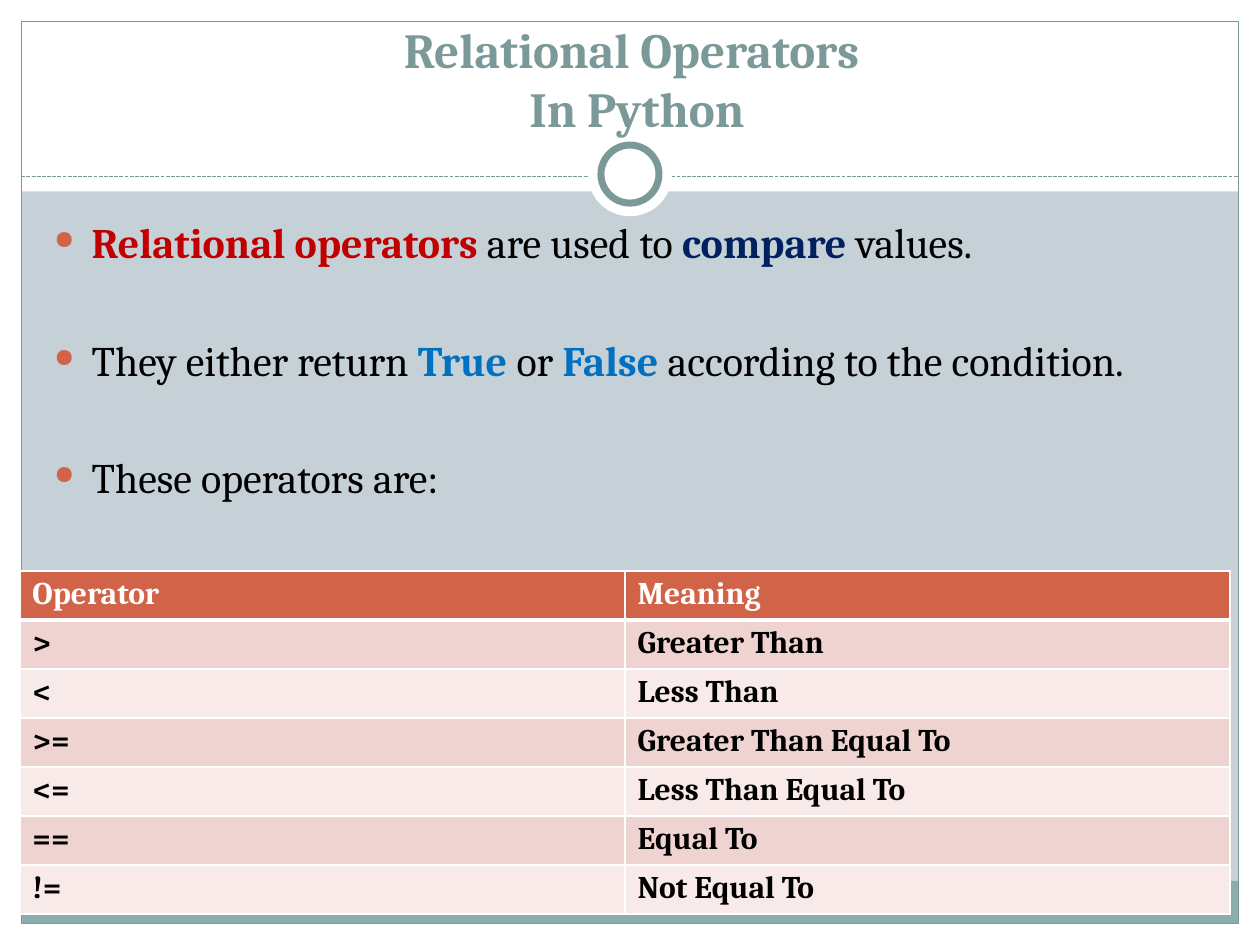
from lxml import etree
from pptx import Presentation
from pptx.dml.color import RGBColor
from pptx.enum.dml import MSO_LINE
from pptx.enum.shapes import MSO_CONNECTOR, MSO_SHAPE
from pptx.enum.text import MSO_ANCHOR, PP_ALIGN
from pptx.oxml.ns import qn
from pptx.util import Cm, Pt

RECT, OVAL = MSO_SHAPE.RECTANGLE, MSO_SHAPE.OVAL
LINE, DASH = MSO_CONNECTOR.STRAIGHT, MSO_LINE.SQUARE_DOT
CENTER, BOTTOM, TOP = PP_ALIGN.CENTER, MSO_ANCHOR.BOTTOM, MSO_ANCHOR.TOP
WHITE, BLACK, TEAL, RUST = "FFFFFF", "000000", "7C999A", "D16349"
RED, NAVY, BLUE = "C00000", "002060", "0070C0"
WIDE, HIGH, EDGE = 25.4, 19.05, 0.43


def color(code):
    return RGBColor.from_string(code)


def node(parent, tag, **attrs):
    return etree.SubElement(parent, qn(tag), attrs)


def paint(item, code):
    item.fill.solid()
    item.fill.fore_color.rgb = color(code)


def shape(slide, kind, box, fill=None, line=None, width=0.75):
    part = slide.shapes.add_shape(kind, *map(Cm, box))
    part.shadow.inherit = False
    if fill:
        paint(part, fill)
    else:
        part.fill.background()
    if line:
        part.line.color.rgb = color(line)
        part.line.width = Pt(width)
    else:
        part.line.fill.background()


def write(para, text, code, size, bold=True):
    run = para.add_run()
    run.text = text
    look = {"name": "Cambria", "size": Pt(size), "bold": bold}
    for key, value in look.items():
        setattr(run.font, key, value)
    run.font.color.rgb = color(code)


def frame(slide, box, anchor):
    text = slide.shapes.add_textbox(*map(Cm, box)).text_frame
    text.word_wrap = True
    text.vertical_anchor = anchor
    return text


def border(slide, box):
    x, y, w, h = box
    # White margins and the bottom band
    for part in ((x, y + h - EDGE, w, EDGE), (x, y, w, 3.86),
                 (x, y, EDGE, h), (x + w - EDGE, y, EDGE, h)):
        shape(slide, RECT, part, WHITE)
    inner = w - 2 * EDGE
    shape(slide, RECT, (x + EDGE, y + h - EDGE - 0.86, inner, 0.86), "8CADAE")
    shape(slide, RECT, (x + EDGE, y + EDGE, inner, h - 2 * EDGE), line=TEAL)
    # Dashed rule
    rule = slide.shapes.add_connector(
        LINE, Cm(x + EDGE), Cm(y + 3.56), Cm(x + w - EDGE), Cm(y + 3.56))
    rule.line.color.rgb = color(TEAL)
    rule.line.width = Pt(0.75)
    rule.line.dash_style = DASH
    node(rule._element.spPr, "a:effectLst")
    # Ring on the rule
    for size, line in ((1.7, None), (1.17, TEAL)):
        spot = (x + (w - size) / 2, y + 3.51 - size / 2, size, size)
        shape(slide, OVAL, spot, WHITE, line, 4)


def title(slide, box):
    para = frame(slide, box, BOTTOM).paragraphs[0]
    para.alignment = CENTER
    write(para, "Relational Operators ", TEAL, 28)
    para.add_line_break()
    write(para, "In Python", TEAL, 28)


def points(slide, box, items):
    text = frame(slide, box, TOP)
    for i, item in enumerate(items):
        para = text.add_paragraph() if i else text.paragraphs[0]
        para.space_before = Pt(38.4 if i else 0)
        props = para._p.get_or_add_pPr()
        props.set("marL", str(Cm(0.76)))
        props.set("indent", str(Cm(-0.76)))
        node(node(props, "a:buClr"), "a:srgbClr", val=RUST)
        node(props, "a:buSzPct", val="61000")
        node(props, "a:buChar", char="●")
        for words, code in item:
            write(para, words, code, 24, code != BLACK)


def edge(cell, sides):
    props = cell._tc.get_or_add_tcPr()
    for i, (side, width) in enumerate(sides.items()):
        line = etree.Element(qn("a:ln" + side), {"w": str(Pt(width))})
        node(node(line, "a:solidFill"), "a:srgbClr", val=WHITE)
        props.insert(i, line)


def grid(slide, box, rows):
    table = slide.shapes.add_table(
        len(rows), len(rows[0]), *map(Cm, box)).table
    for r, row in enumerate(rows):
        table.rows[r].height = Cm(box[3] / len(rows))
        for c, words in enumerate(row):
            cell = table.cell(r, c)
            cell.margin_top = cell.margin_bottom = Cm(0.1)
            paint(cell, ("F7EAE9", "EED3D0")[r % 2] if r else RUST)
            edge(cell, {"L": 1, "R": 1, "T": 3 if r == 1 else 1,
                        "B": 1 if r else 3})
            write(cell.text_frame.paragraphs[0], words,
                  BLACK if r else WHITE, 18)


deck = Presentation()
deck.slide_width, deck.slide_height = Cm(WIDE), Cm(HIGH)
slide = deck.slides.add_slide(deck.slide_layouts[6])
paint(slide.background, "C5D1D7")

border(slide, (0, 0, WIDE, HIGH))
title(slide, (0.99, 0.79, 23.7, 2.11))
points(slide, (0.84, 4.24, 23.62, 13.49), [
    [("Relational operators ", RED), ("are used to ", BLACK),
     ("compare", NAVY), (" values.", BLACK)],
    [("They either return\u00a0", BLACK), ("True", BLUE),
     ("\u00a0or\u00a0", BLACK), ("False", BLUE),
     ("\u00a0according to the condition.", BLACK)],
    [("These operators are:", BLACK)],
])
grid(slide, (0.4, 11.51, 24.4, 6.92), [
    ("Operator", "Meaning"),
    (">", "Greater Than"),
    ("<", "Less Than"),
    (">=", "Greater Than Equal To"),
    ("<=", "Less Than Equal To"),
    ("==", "Equal To"),
    ("!=", "Not Equal To"),
])
deck.save("out.pptx")
